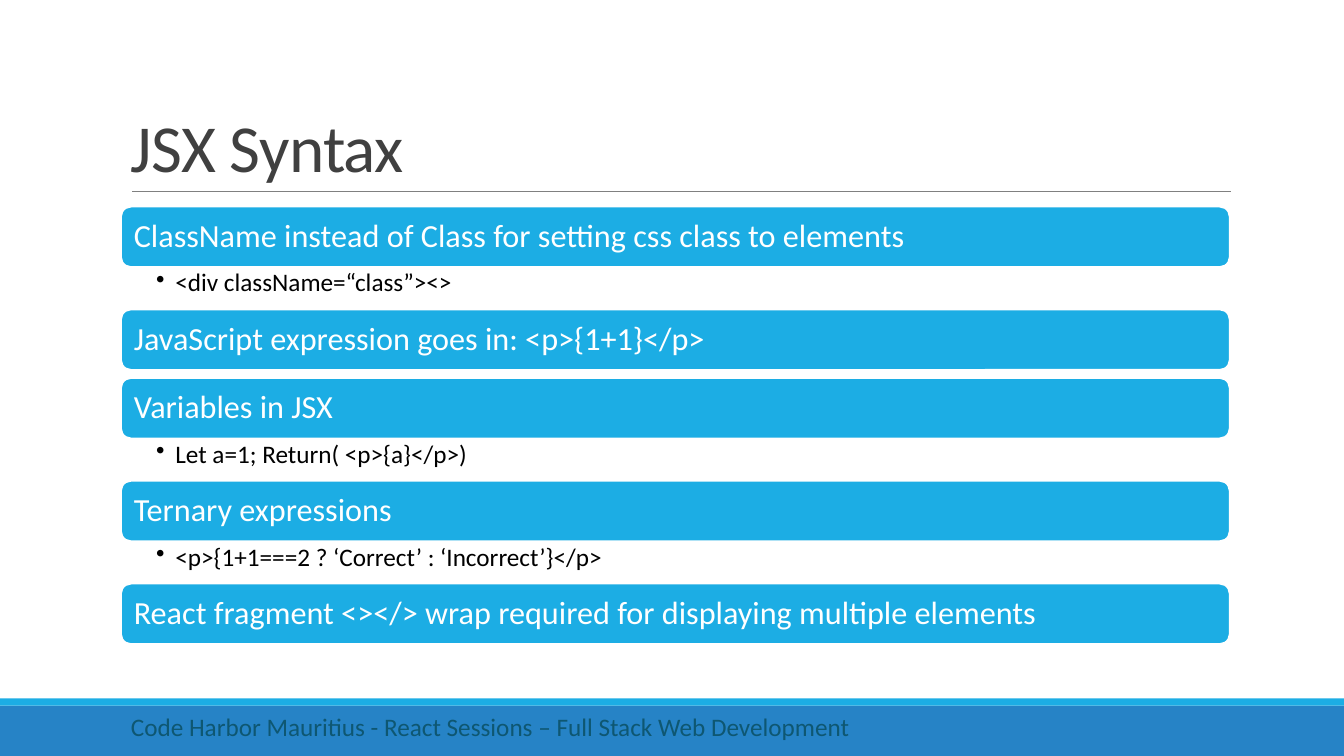
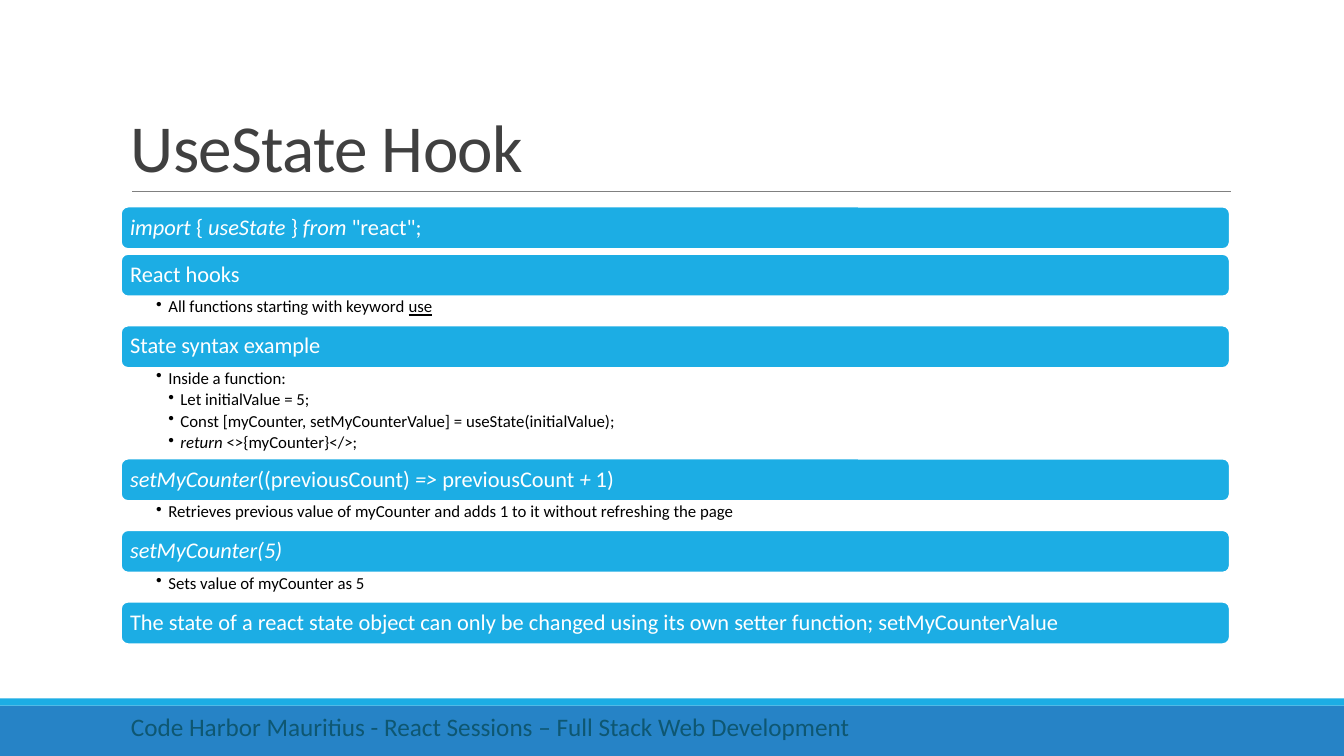
"""Builds two slides on JSX syntax and the useState hook."""
from lxml import etree
from pptx import Presentation
from pptx.dml.color import RGBColor
from pptx.enum.shapes import MSO_CONNECTOR, MSO_SHAPE
from pptx.enum.text import MSO_ANCHOR, PP_ALIGN
from pptx.oxml.ns import qn
from pptx.util import Inches, Pt

RECT, ROUND = MSO_SHAPE.RECTANGLE, MSO_SHAPE.ROUNDED_RECTANGLE
LINE = MSO_CONNECTOR.STRAIGHT
TOP, MIDDLE, BOTTOM = MSO_ANCHOR.TOP, MSO_ANCHOR.MIDDLE, MSO_ANCHOR.BOTTOM
LEFT = PP_ALIGN.LEFT

WHITE = RGBColor(0xFF, 0xFF, 0xFF)
BLACK = RGBColor(0x00, 0x00, 0x00)
SKY = RGBColor(0x1C, 0xAD, 0xE4)
BLUE = RGBColor(0x26, 0x83, 0xC6)
TEAL = RGBColor(0x0E, 0x57, 0x72)
GRAY = RGBColor(0x80, 0x80, 0x80)
DARK = RGBColor(0x40, 0x40, 0x40)

WIDE, HIGH = Inches(13.33), Inches(7.5)
SIDE, SPAN = int(WIDE * 0.09), int(WIDE * 0.825)
START = Inches(2.05)
BANDS = [(BLUE, Inches(7), Inches(0.5)), (SKY, Inches(6.93), Inches(0.07))]
FOOTER = "Code Harbor Mauritius - React Sessions – Full Stack Web Development"

HEAD = {"size": Pt(48), "color": DARK}
FOOT = {"size": Pt(18), "color": TEAL}
ITALIC, UNDER = {"italic": True}, {"underline": True}

DECK = [
    {
        "title": "JSX Syntax",
        "bar": 0.6, "gap": 0.08, "inset": 0.1, "pad": 0.03, "hang": 0.19,
        "big": 23, "small": 18,
        "rows": [
            (["ClassName instead of Class for setting css class to elements"],
             0.42, [(1, ["<div className=“class”><>"])]),
            (["JavaScript expression goes in: <p>{1+1}</p>"], 0, []),
            (["Variables in JSX"],
             0.42, [(1, ["Let a=1; Return( <p>{a}</p>)"])]),
            (["Ternary expressions"],
             0.42, [(1, ["<p>{1+1===2 ? ‘Correct’ : ‘Incorrect’}</p>"])]),
            (["React fragment <></> wrap required for displaying multiple elements"],
             0, []),
        ],
    },
    {
        "title": "UseState Hook",
        "bar": 0.42, "gap": 0.05, "inset": 0.07, "pad": 0.02, "hang": 0.12,
        "big": 16, "small": 12,
        "rows": [
            ([("import", ITALIC), " { ", ("useState", ITALIC), " } ",
              ("from", ITALIC), ' "react";'], 0, []),
            (["React hooks"],
             0.29, [(1, ["All functions starting with keyword ", ("use", UNDER)])]),
            (["State syntax example"],
             0.9, [(1, ["Inside a function:"]),
                   (2, ["Let initialValue = 5;"]),
                   (2, ["Const [myCounter, setMyCounterValue] = useState(initialValue);"]),
                   (2, [("return", ITALIC), " <>{myCounter}</>;"])]),
            ([("setMyCounter", ITALIC), "((previousCount) ", ("=> ", ITALIC),
              "previousCount ", ("+", ITALIC), " 1)"],
             0.29, [(1, ["Retrieves previous value of myCounter and adds 1 to it "
                         "without refreshing the page"])]),
            ([("setMyCounter(5)", ITALIC)],
             0.29, [(1, ["Sets value of myCounter as 5"])]),
            (["The state of a react state object can only be changed using "
              "its own setter function; setMyCounterValue"], 0, []),
        ],
    },
]


def write(para, parts, style):
    """Adds the parts as runs; a part is text or a pair of text and format."""
    para.alignment = LEFT
    for part in parts:
        text, extra = (part, {}) if isinstance(part, str) else part
        run = para.add_run()
        run.text = text
        for key, value in {"name": "Calibri", **style, **extra}.items():
            if key == "color":
                run.font.color.rgb = value
            else:
                setattr(run.font, key, value)


def frame(shape, **format):
    """Sets the text frame's format and returns the frame."""
    body = shape.text_frame
    for key, value in {"word_wrap": True, **format}.items():
        setattr(body, key, value)
    return body


deck = Presentation()
deck.slide_width, deck.slide_height = WIDE, HIGH

for page in DECK:
    slide = deck.slides.add_slide(deck.slide_layouts[6])
    shapes = slide.shapes

    for color, top, tall in BANDS:
        band = shapes.add_shape(RECT, 0, top, WIDE, tall)
        band.shadow.inherit = False
        band.fill.solid()
        band.fill.fore_color.rgb = color
        band.line.fill.background()

    rule = shapes.add_connector(LINE, Inches(1.31), Inches(1.9), Inches(12.21), Inches(1.9))
    rule.line.color.rgb = GRAY
    rule.line.width = Pt(0.5)
    etree.SubElement(rule._element.spPr, qn("a:effectLst"))

    title = shapes.add_textbox(SIDE, Inches(0.31), SPAN, Inches(1.59))
    para = frame(title, vertical_anchor=BOTTOM).paragraphs[0]
    para.line_spacing = 0.85
    write(para, [page["title"]], HEAD)
    para.runs[0]._r.get_or_add_rPr().set("spc", "-50")

    inset, pad, hang = (Inches(page[key]) for key in ("inset", "pad", "hang"))
    big = {"size": Pt(page["big"]), "color": WHITE}
    small = {"size": Pt(page["small"]), "color": BLACK}
    tall, top = Inches(page["bar"]), START
    for label, room, notes in page["rows"]:
        bar = shapes.add_shape(ROUND, SIDE, top, SPAN, tall)
        bar.shadow.inherit = False
        bar.fill.solid()
        bar.fill.fore_color.rgb = SKY
        bar.line.color.rgb = WHITE
        bar.line.width = Pt(1.25)
        body = frame(bar, vertical_anchor=MIDDLE, margin_left=inset,
                     margin_right=inset, margin_top=0, margin_bottom=0)
        body.paragraphs[0].line_spacing = 0.9
        write(body.paragraphs[0], label, big)
        top += tall

        if not notes:
            top += Inches(page["gap"])
            continue
        box = shapes.add_textbox(SIDE, top, SPAN, Inches(room))
        body = frame(box, vertical_anchor=TOP, margin_left=Inches(0.35),
                     margin_right=hang, margin_top=pad, margin_bottom=pad)
        for spot, (level, parts) in enumerate(notes):
            para = body.add_paragraph() if spot else body.paragraphs[0]
            props = para._p.get_or_add_pPr()
            props.set("marL", str(hang * level))
            props.set("indent", str(-hang))
            etree.SubElement(props, qn("a:buChar"), char="•")
            para.level = level
            para.line_spacing = 0.9
            para.space_after = Pt(page["small"] * 0.2)
            write(para, parts, small)
        top += Inches(room)

    footer = shapes.add_textbox(SIDE, Inches(7.01), Inches(7.78), Inches(0.4))
    write(frame(footer).paragraphs[0], [FOOTER], FOOT)

deck.save("out.pptx")
